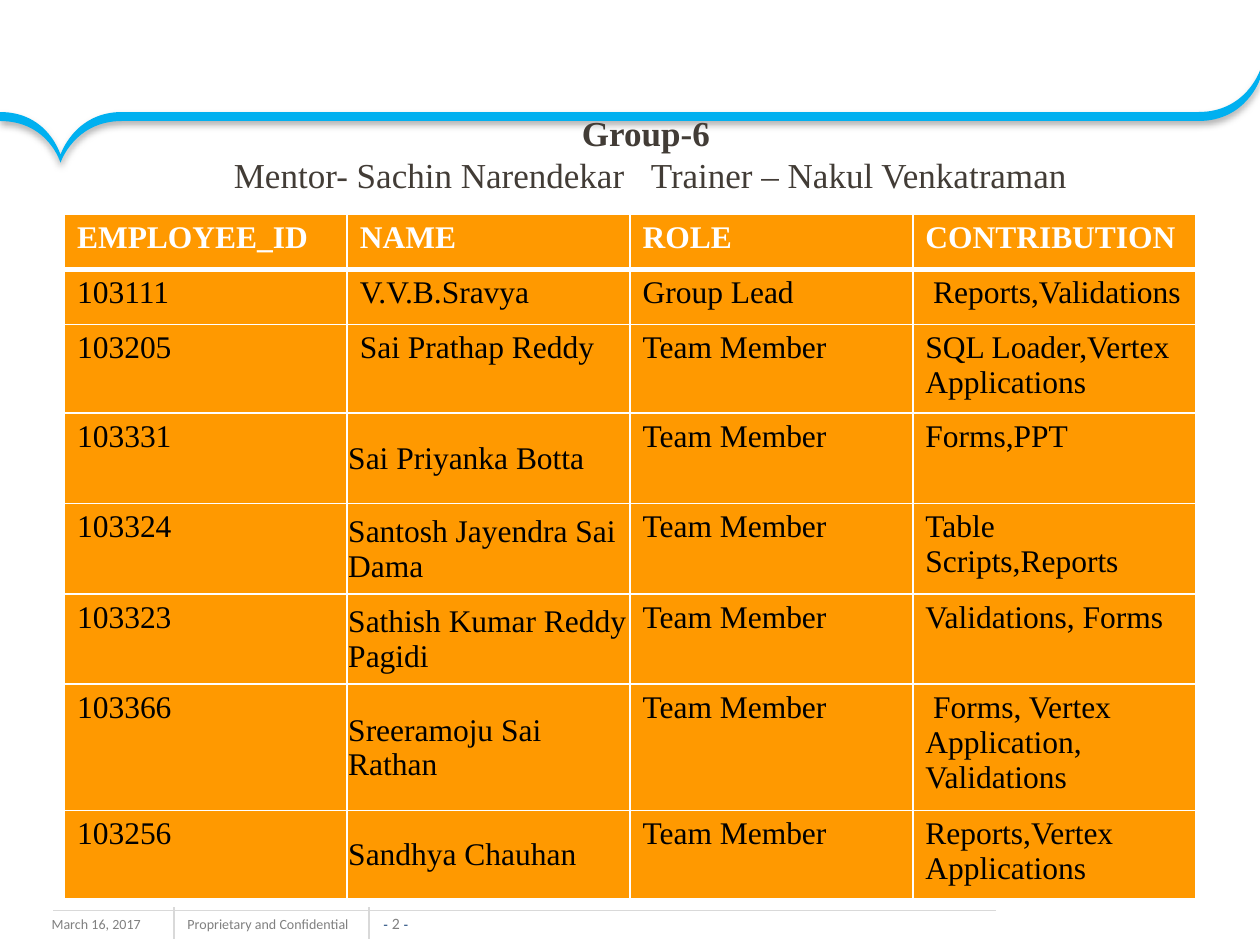
from lxml import etree
from pptx import Presentation
from pptx.dml.color import RGBColor
from pptx.enum import shapes, text
from pptx.oxml.ns import qn
from pptx.util import Cm, Pt

COLORS = {
    "band": "00B0F0", "cell": "FF9900", "border": "FFFFFF", "header": "FFFFFF",
    "body": "000000", "title": "423C36", "footer": "808080", "dash": "1F497D",
    "rule": "D9D9D9", "shadow": "000000",
}
SERIF = "Times New Roman"

# A run is (text, format); a paragraph is a list of runs.
TITLE = {"size": 20, "name": SERIF, "color": "title", "bold": False}
FOOTER = {"size": 8, "name": "Calibri", "color": "footer"}
DASH = {"size": 8, "name": "Arial", "color": "dash"}
HEADER_CELL = {"size": 18, "name": SERIF, "color": "header", "bold": True}
BODY_CELL = {"size": 18, "name": SERIF, "color": "body", "bold": False}

HEADING = [
    [("Group-6 ", {**TITLE, "bold": True})],
    [("Mentor- Sachin Narendekar", TITLE), (" ", {**TITLE, "spacing": 10}),
     ("Trainer – Nakul Venkatraman", TITLE)],
]
DATE = [[("March 16, 2017", FOOTER)]]
NOTICE = [[("Proprietary and Confidential", FOOTER)]]
PAGE = [[("- ", DASH), ("2 ", {**FOOTER, "size": 9}), ("-", DASH)]]

MEMBERS = [
    ("EMPLOYEE_ID", "NAME", "ROLE", "CONTRIBUTION"),
    ("103111", "V.V.B.Sravya", "Group Lead", " Reports,Validations"),
    ("103205", "Sai Prathap Reddy", "Team Member", "SQL Loader,Vertex Applications"),
    ("103331", "Sai Priyanka Botta", "Team Member", "Forms,PPT"),
    ("103324", "Santosh Jayendra Sai Dama", "Team Member", "Table Scripts,Reports"),
    ("103323", "Sathish Kumar Reddy Pagidi", "Team Member", "Validations, Forms"),
    ("103366", "Sreeramoju Sai Rathan", "Team Member",
     " Forms, Vertex Application, Validations"),
    ("103256", "Sandhya Chauhan", "Team Member", "Reports,Vertex Applications"),
]
ROW_HEIGHTS = [1.11, 1.11, 1.79, 1.82, 1.82, 1.82, 2.55, 1.76]
COLUMN_WIDTH = 5.7
NAME_COLUMN = 1
FIRST_TIGHT_ROW = 3  # from here on names sit centred with hardly any margin

RULES = [  # x1, y1, x2, y2
    (3.51, 18.29, 3.51, 18.92),
    (7.44, 18.29, 7.44, 18.92),
    (20.07, 18.36, 1.07, 18.36),
]

BAND_START = (24.16, 2.26)
BAND_CURVES = [  # first control, second control, end
    ((2.46, 2.26), (2.46, 2.26), (2.46, 2.26)),
    ((1.5, 2.26), (1.22, 3.12), (1.22, 3.12)),
    ((1.22, 3.12), (0.97, 2.26), (0, 2.26)),
    ((0, 2.44), (0, 2.44), (0, 2.44)),
    ((0.97, 2.44), (1.22, 3.28), (1.22, 3.28)),
    ((1.22, 3.28), (1.5, 2.44), (2.46, 2.44)),
    ((24.16, 2.44), (24.16, 2.44), (24.16, 2.44)),
    ((25.12, 2.44), (25.4, 1.6), (25.4, 1.6)),
    ((25.4, 1.42), (25.4, 1.42), (25.4, 1.42)),
    ((25.4, 1.42), (25.12, 2.26), BAND_START),
]


def rgb(key):
    return RGBColor.from_string(COLORS[key])


def write_runs(paragraph, runs):
    for words, style in runs:
        run = paragraph.add_run()
        run.text = words
        values = dict(style)
        run.font.color.rgb = rgb(values.pop("color"))
        run.font.size = Pt(values.pop("size"))
        spacing = values.pop("spacing", 0)
        if spacing:
            run.font._element.set("spc", str(spacing * 100))
        for attribute, value in values.items():
            setattr(run.font, attribute, value)


def add_text(slide, place, paragraphs, align=text.PP_ALIGN.LEFT, **frame_format):
    frame = slide.shapes.add_textbox(*map(Cm, place)).text_frame
    for attribute, value in {"word_wrap": True, **frame_format}.items():
        setattr(frame, attribute, value)
    for index, runs in enumerate(paragraphs):
        paragraph = frame.add_paragraph() if index else frame.paragraphs[0]
        paragraph.alignment = align
        write_runs(paragraph, runs)


def add_rule(slide, ends):
    rule = slide.shapes.add_connector(
        shapes.MSO_CONNECTOR.STRAIGHT, *map(Cm, ends))
    rule.line.color.rgb = rgb("rule")
    rule.line.width = Pt(0.75)
    etree.SubElement(rule._element.spPr, qn("a:effectLst"))


def add_band(slide):
    """Outline the band through its curve ends, then bend each segment."""
    builder = slide.shapes.build_freeform(*map(Cm, BAND_START))
    builder.add_line_segments(
        [tuple(map(Cm, end)) for _, _, end in BAND_CURVES], close=True)
    band = builder.convert_to_shape()
    segments = list(band._element.spPr.iter(qn("a:lnTo")))
    for segment, (first, second, _) in zip(segments, BAND_CURVES):
        segment.tag = qn("a:cubicBezTo")
        for position, (x, y) in enumerate((first, second)):
            control = etree.Element(
                qn("a:pt"), x=str(Cm(x) - band.left), y=str(Cm(y) - band.top))
            segment.insert(position, control)
    band.fill.solid()
    band.fill.fore_color.rgb = rgb("band")
    band.line.fill.background()
    band.shadow.inherit = False
    effects = band._element.spPr.find(qn("a:effectLst"))
    shadow = etree.SubElement(
        effects, qn("a:outerShdw"), blurRad=str(Pt(4)), dist=str(Pt(2)),
        dir="5400000", algn="t", rotWithShape="0")
    color = etree.SubElement(shadow, qn("a:srgbClr"), val=COLORS["shadow"])
    etree.SubElement(color, qn("a:alpha"), val="31000")


def set_borders(cell, widths):
    for side, width in widths.items():
        line = etree.SubElement(
            cell._tc.get_or_add_tcPr(), qn("a:ln" + side), w=str(Pt(width)))
        fill = etree.SubElement(line, qn("a:solidFill"))
        etree.SubElement(fill, qn("a:srgbClr"), val=COLORS["border"])


def add_members(slide):
    columns = len(MEMBERS[0])
    table = slide.shapes.add_table(
        len(MEMBERS), columns, Cm(1.3), Cm(4.32),
        Cm(COLUMN_WIDTH * columns), Cm(sum(ROW_HEIGHTS))).table
    table.horz_banding = False
    for column in table.columns:
        column.width = Cm(COLUMN_WIDTH)
    tight = {
        "vertical_anchor": text.MSO_ANCHOR.MIDDLE, "margin_left": Cm(0.02),
        "margin_top": Cm(0.02), "margin_right": Cm(0.02), "margin_bottom": 0,
    }
    for r, member in enumerate(MEMBERS):
        table.rows[r].height = Cm(ROW_HEIGHTS[r])
        for c, words in enumerate(member):
            cell = table.cell(r, c)
            set_borders(cell, {"L": 1, "R": 1, "T": 3 if r == 1 else 1,
                               "B": 3 if r == 0 else 1})
            cell.fill.solid()
            cell.fill.fore_color.rgb = rgb("cell")
            if c == NAME_COLUMN and r >= FIRST_TIGHT_ROW:
                for attribute, value in tight.items():
                    setattr(cell, attribute, value)
            write_runs(cell.text_frame.paragraphs[0],
                       [(words, BODY_CELL if r else HEADER_CELL)])


def main():
    deck = Presentation()
    deck.slide_width, deck.slide_height = Cm(25.4), Cm(19.05)
    slide = deck.slides.add_slide(deck.slide_layouts[6])
    center = text.PP_ALIGN.CENTER
    add_text(slide, (0.79, 18.34, 3.38, 0.64), DATE)
    add_text(slide, (3.53, 18.34, 3.99, 0.61), NOTICE, word_wrap=False)
    add_text(slide, (7.65, 18.42, 0.66, 0.38), PAGE, center, word_wrap=False,
             vertical_anchor=text.MSO_ANCHOR.BOTTOM, margin_left=0,
             margin_top=0, margin_right=0, margin_bottom=0)
    for ends in RULES:
        add_rule(slide, ends)
    add_band(slide)
    add_members(slide)
    add_text(slide, (2.11, 2.13, 22, 1.96), HEADING, center)
    deck.save("out.pptx")


if __name__ == "__main__":
    main()
